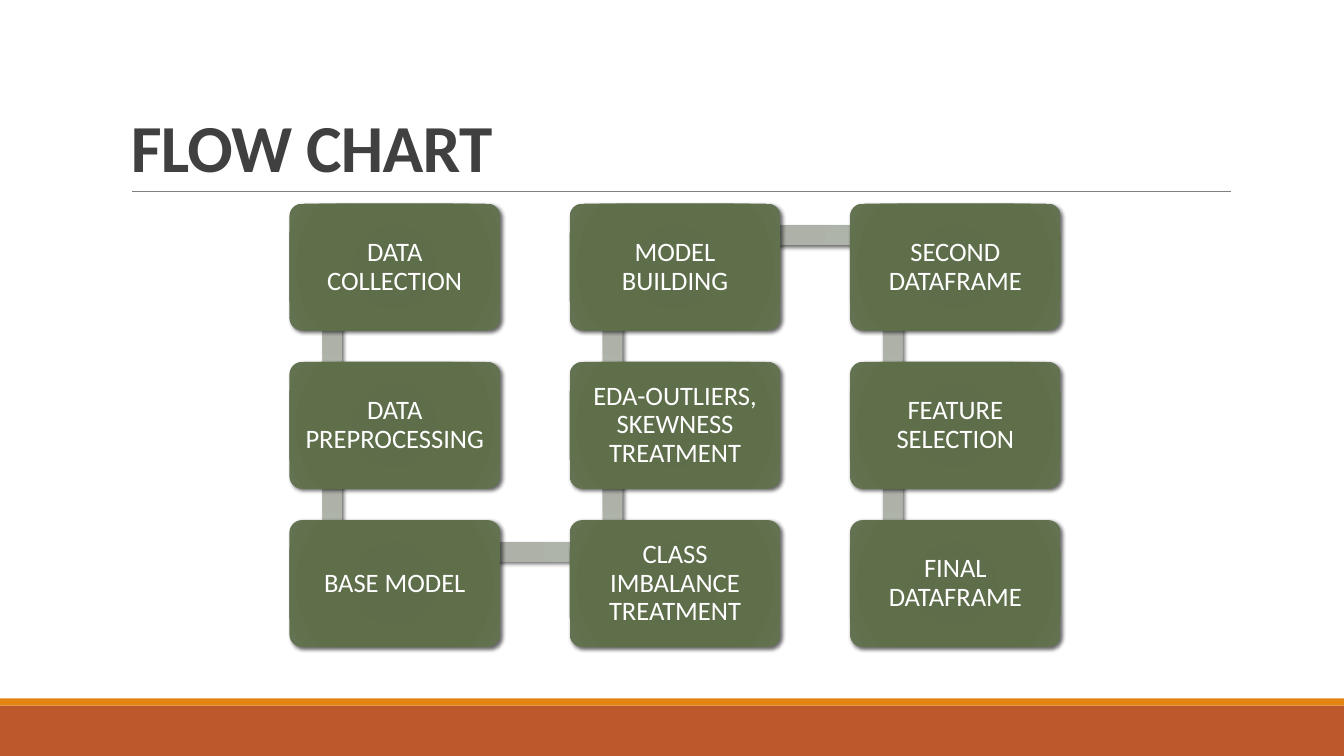
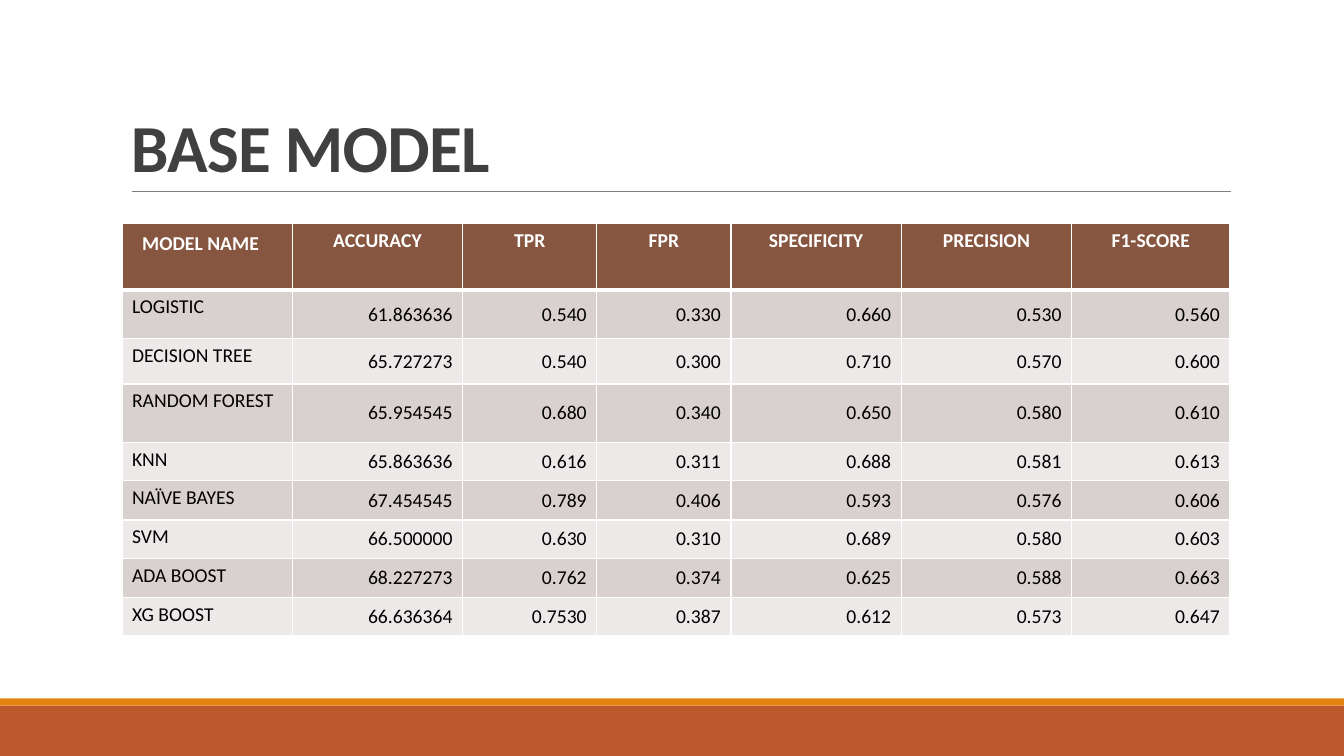
from dataclasses import dataclass
from itertools import pairwise
from typing import Any, NamedTuple

from lxml.etree import SubElement
from pptx import Presentation
from pptx.dml.color import RGBColor
from pptx.enum.shapes import MSO_CONNECTOR, MSO_SHAPE
from pptx.enum.text import MSO_ANCHOR, PP_ALIGN
from pptx.oxml import parse_xml
from pptx.oxml.ns import nsdecls, qn
from pptx.util import Emu, Pt

EMU_PER_PX = 9144
SLIDE_WIDTH, SLIDE_HEIGHT = 1333, 750
FONT = "Calibri"

COLORS = {
    "footer": "BD582C",
    "stripe": "E48312",
    "rule": "808080",
    "title": "404040",
    "white": "FFFFFF",
    "black": "000000",
    "header": "865640",
    "odd_row": "D9D1CF",
    "even_row": "EDE9E8",
}
GRADIENTS = {
    "step": {0: "5D6D48", 34: "5E6D4A", 70: "5F6F4A", 100: "637250"},
    "link": {0: "ABAFA6", 34: "ADB1A8", 70: "AFB4AA", 100: "B7BBB3"},
}


class Box(NamedTuple):
    left: int
    top: int
    width: int
    height: int


@dataclass(frozen=True)
class Step:
    label: str
    column: int
    row: int

    @property
    def box(self) -> Box:
        return Box(287 + 278 * self.column, 202 + 157 * self.row, 209, 126)

    @property
    def anchor(self) -> tuple[int, int]:
        return self.box.left + 42, self.box.top + 31


@dataclass(frozen=True)
class TextStyle:
    size: int
    color: str
    bold: bool = False
    align: PP_ALIGN = PP_ALIGN.LEFT
    spacing: float = 1.0


class ModelScore(NamedTuple):
    model: str
    accuracy: str
    tpr: str
    fpr: str
    specificity: str
    precision: str
    f1: str


TITLE_STYLE = TextStyle(48, "title", bold=True, spacing=0.85)
STEP_STYLE = TextStyle(19, "white", align=PP_ALIGN.CENTER, spacing=0.9)
HEADER_STYLE = TextStyle(14, "white", bold=True, align=PP_ALIGN.CENTER)
HEADER_NAME_STYLE = TextStyle(14, "white", bold=True)
NAME_STYLE = TextStyle(14, "black")
SCORE_STYLE = TextStyle(14, "black", align=PP_ALIGN.RIGHT)

STEPS = [
    Step("DATA COLLECTION", 0, 0),
    Step("DATA PREPROCESSING", 0, 1),
    Step("BASE MODEL", 0, 2),
    Step("CLASS IMBALANCE TREATMENT", 1, 2),
    Step("EDA-OUTLIERS, SKEWNESS TREATMENT", 1, 1),
    Step("MODEL BUILDING", 1, 0),
    Step("SECOND DATAFRAME", 2, 0),
    Step("FEATURE SELECTION", 2, 1),
    Step("FINAL DATAFRAME", 2, 2),
]
LINK_THICKNESS = 19

SCORES = [
    ModelScore("MODEL NAME", "ACCURACY", "TPR", "FPR", "SPECIFICITY", "PRECISION", "F1-SCORE"),
    ModelScore("LOGISTIC", "61.863636", "0.540", "0.330", "0.660", "0.530", "0.560"),
    ModelScore("DECISION TREE", "65.727273", "0.540", "0.300", "0.710", "0.570", "0.600"),
    ModelScore("RANDOM FOREST", "65.954545", "0.680", "0.340", "0.650", "0.580", "0.610"),
    ModelScore("KNN", "65.863636", "0.616", "0.311", "0.688", "0.581", "0.613"),
    ModelScore("NAÏVE BAYES", "67.454545", "0.789", "0.406", "0.593", "0.576", "0.606"),
    ModelScore("SVM", "66.500000", "0.630", "0.310", "0.689", "0.580", "0.603"),
    ModelScore("ADA BOOST", "68.227273", "0.762", "0.374", "0.625", "0.588", "0.663"),
    ModelScore("XG BOOST", "66.636364", "0.7530", "0.387", "0.612", "0.573", "0.647"),
]
COLUMN_WIDTHS = [169, 169, 133, 133, 169, 169, 157]
ROW_HEIGHTS = [66, 48, 45, 58, 38, 39, 38, 39, 38]


def px(length: int) -> Emu:
    return Emu(length * EMU_PER_PX)


def place(box: Box) -> list[Emu]:
    return [px(length) for length in box]


def rgb(color: str) -> RGBColor:
    return RGBColor.from_string(COLORS[color])


def apply_format(target: Any, values: dict[str, Any]) -> None:
    for attribute, value in values.items():
        setattr(target, attribute, value)


def margins(left: int, top: int, right: int, bottom: int) -> dict[str, Emu]:
    sides = {"left": left, "top": top, "right": right, "bottom": bottom}
    return {f"margin_{side}": px(length) for side, length in sides.items()}


def write(frame: Any, text: str, style: TextStyle) -> Any:
    paragraph = frame.paragraphs[0]
    apply_format(paragraph, {"alignment": style.align, "line_spacing": style.spacing})
    run = paragraph.add_run()
    run.text = text
    apply_format(run.font, {"name": FONT, "size": Pt(style.size), "bold": style.bold})
    run.font.color.rgb = rgb(style.color)
    return run


def add_plain_shape(slide: Any, box: Box, preset: MSO_SHAPE = MSO_SHAPE.RECTANGLE) -> Any:
    shape = slide.shapes.add_shape(preset, *place(box))
    shape.shadow.inherit = False
    shape.line.fill.background()
    return shape


def add_band(slide: Any, box: Box, color: str) -> None:
    band = add_plain_shape(slide, box)
    band.fill.solid()
    band.fill.fore_color.rgb = rgb(color)


def add_raised_shape(slide: Any, box: Box, gradient: str, preset: MSO_SHAPE = MSO_SHAPE.RECTANGLE) -> Any:
    shape = add_plain_shape(slide, box, preset)
    shape.fill.background()
    properties = shape.element.spPr
    stops = "".join(
        f'<a:gs pos="{position * 1000}"><a:srgbClr val="{color}"/></a:gs>'
        for position, color in GRADIENTS[gradient].items()
    )
    properties.replace(properties.find(qn("a:noFill")), parse_xml(
        f'<a:gradFill {nsdecls("a")} rotWithShape="1"><a:gsLst>{stops}</a:gsLst>'
        '<a:path path="circle"><a:fillToRect l="100000" t="100000" r="100000" b="100000"/>'
        '</a:path></a:gradFill>'
    ))
    properties.find(qn("a:effectLst")).append(parse_xml(
        f'<a:outerShdw {nsdecls("a")} blurRad="{Pt(3)}" dist="{Pt(2)}" dir="2700000" '
        f'rotWithShape="0"><a:srgbClr val="{COLORS["black"]}"><a:alpha val="60000"/>'
        '</a:srgbClr></a:outerShdw>'
    ))
    return shape


def add_titled_slide(deck: Any, title: str) -> Any:
    slide = deck.slides.add_slide(deck.slide_layouts[6])
    add_band(slide, Box(0, 700, SLIDE_WIDTH, 50), "footer")
    add_band(slide, Box(0, 693, SLIDE_WIDTH, 7), "stripe")
    rule = slide.shapes.add_connector(MSO_CONNECTOR.STRAIGHT, px(131), px(190), px(1221), px(190))
    rule.line.color.rgb = rgb("rule")
    rule.line.width = Pt(0.5)
    SubElement(rule.element.spPr, qn("a:effectLst"))
    heading = slide.shapes.add_textbox(*place(Box(120, 31, 1100, 159))).text_frame
    apply_format(heading, {"word_wrap": True, "vertical_anchor": MSO_ANCHOR.BOTTOM})
    write(heading, title, TITLE_STYLE).font._element.set("spc", "-50")
    return slide


def add_link(slide: Any, start: Step, end: Step) -> None:
    (x1, y1), (x2, y2) = start.anchor, end.anchor
    left, top, half = min(x1, x2), min(y1, y2), LINK_THICKNESS // 2
    if x1 == x2:
        bar = Box(left - half, top, LINK_THICKNESS, abs(y2 - y1))
    else:
        bar = Box(left, top - half, abs(x2 - x1), LINK_THICKNESS)
    add_raised_shape(slide, bar, "link")


def add_step(slide: Any, step: Step) -> None:
    card = add_raised_shape(slide, step.box, "step", MSO_SHAPE.ROUNDED_RECTANGLE)
    card.adjustments[0] = 0.1
    apply_format(card.text_frame, {
        "word_wrap": True, "vertical_anchor": MSO_ANCHOR.MIDDLE, **margins(8, 8, 8, 8),
    })
    write(card.text_frame, step.label, STEP_STYLE)


def add_borders(cell: Any, row: int) -> None:
    widths = {"lnL": 1, "lnR": 1, "lnT": 3 if row == 1 else 1, "lnB": 3 if row == 0 else 1}
    for side, width in widths.items():
        cell._tc.get_or_add_tcPr().append(parse_xml(
            f'<a:{side} {nsdecls("a")} w="{Pt(width)}"><a:solidFill>'
            f'<a:srgbClr val="{COLORS["white"]}"/></a:solidFill></a:{side}>'
        ))


def fill_cell(cell: Any, text: str, row: int, column: int) -> None:
    is_header, is_name = row == 0, column == 0
    if is_header:
        style, fill = HEADER_NAME_STYLE if is_name else HEADER_STYLE, "header"
    else:
        style, fill = NAME_STYLE if is_name else SCORE_STYLE, "odd_row" if row % 2 else "even_row"
    inset = margins(20, 8, 5, 5) if is_header and is_name else margins(10, 5, 10, 5)
    anchor = MSO_ANCHOR.TOP if is_header or is_name else MSO_ANCHOR.MIDDLE
    add_borders(cell, row)
    cell.fill.solid()
    cell.fill.fore_color.rgb = rgb(fill)
    apply_format(cell, {"vertical_anchor": anchor, **inset})
    write(cell.text_frame, text, style)


def build_flow_chart(deck: Any) -> None:
    slide = add_titled_slide(deck, "FLOW CHART")
    for start, end in pairwise(STEPS):
        add_link(slide, start, end)
    for step in STEPS:
        add_step(slide, step)


def build_base_model(deck: Any) -> None:
    slide = add_titled_slide(deck, "BASE MODEL")
    area = Box(121, 222, sum(COLUMN_WIDTHS), sum(ROW_HEIGHTS))
    scores = slide.shapes.add_table(len(SCORES), len(COLUMN_WIDTHS), *place(area)).table
    scores.horz_banding = False
    for column, width in zip(scores.columns, COLUMN_WIDTHS):
        column.width = px(width)
    for row, height in zip(scores.rows, ROW_HEIGHTS):
        row.height = px(height)
    for row, score in enumerate(SCORES):
        for column, text in enumerate(score):
            fill_cell(scores.cell(row, column), text, row, column)


def main() -> None:
    deck = Presentation()
    apply_format(deck, {"slide_width": px(SLIDE_WIDTH), "slide_height": px(SLIDE_HEIGHT)})
    build_flow_chart(deck)
    build_base_model(deck)
    deck.save("out.pptx")


if __name__ == "__main__":
    main()
